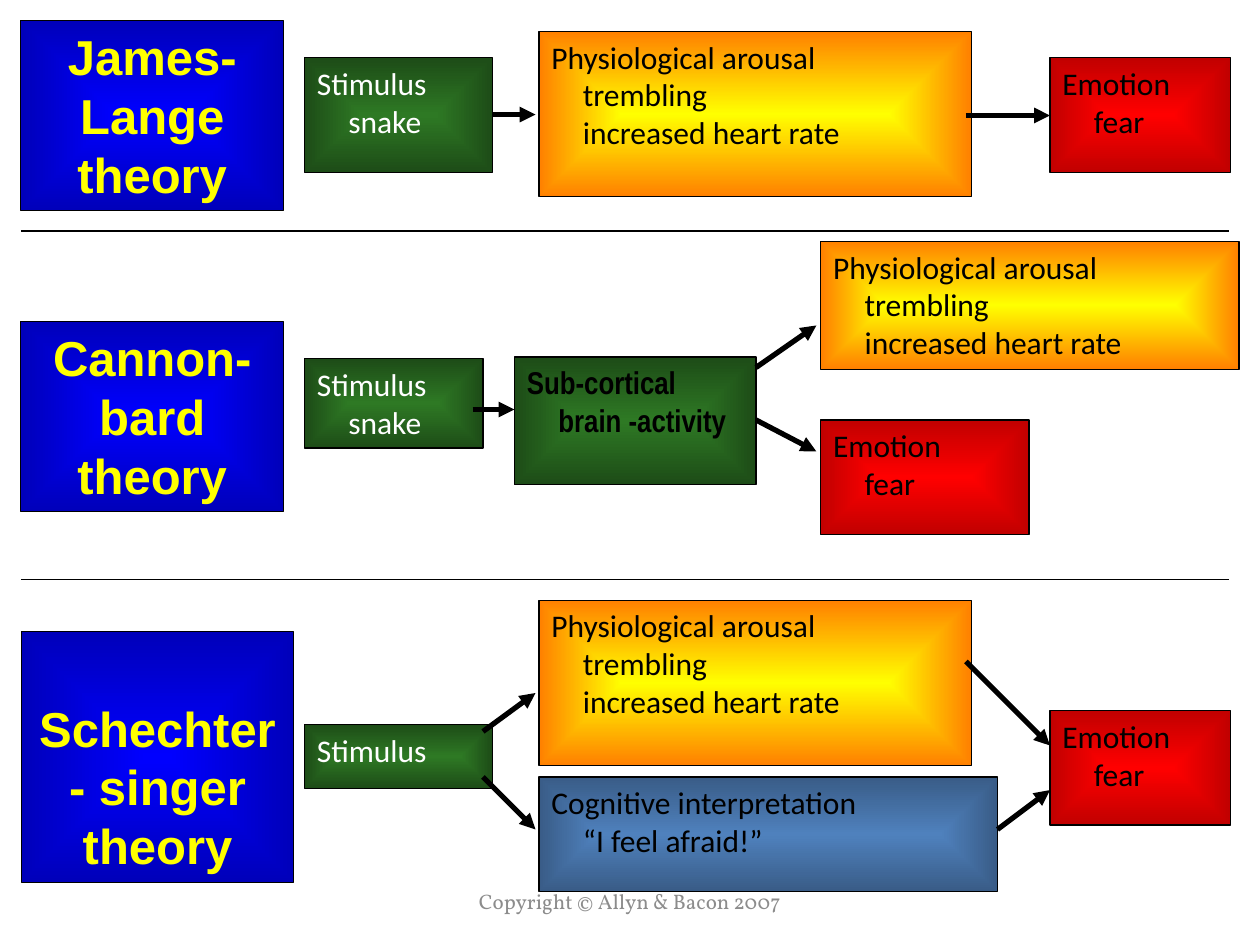
"""Build a slide that compares three theories of emotion as flow diagrams."""
from lxml import etree
from pptx import Presentation
from pptx.dml.color import RGBColor
from pptx.enum.shapes import MSO_CONNECTOR, MSO_SHAPE
from pptx.enum.text import MSO_ANCHOR, PP_ALIGN
from pptx.oxml.ns import qn
from pptx.util import Pt

RECT, STRAIGHT = MSO_SHAPE.RECTANGLE, MSO_CONNECTOR.STRAIGHT
TOP, MIDDLE = MSO_ANCHOR.TOP, MSO_ANCHOR.MIDDLE
LEFT, CENTER = PP_ALIGN.LEFT, PP_ALIGN.CENTER

AROUSAL = "Physiological arousal\ntrembling\nincreased heart rate"
EMOTION = "Emotion\nfear"
STIMULUS = "Stimulus\nsnake"

STYLES = {
    "title": ("0000FF", "0000BA", "FFFF00", "Arial", 28, True),
    "stimulus": ("2E7924", "1D4C17", "FFFFFF", "Calibri", 18, False),
    "brain": ("2E7924", "1D4C17", "000000", "Arial Narrow", 18, True),
    "arousal": ("FFFF00", "FF8000", "000000", "Calibri", 18, False),
    "thought": ("4F81BD", "395C87", "000000", "Calibri", 18, False),
    "emotion": ("FF0000", "C10000", "000000", "Calibri", 18, False),
}

BOXES = [
    ("title", "James-Lange theory", 12, 11.5, 150, 108.75),
    ("stimulus", STIMULUS, 174, 33, 107.5, 65.5),
    ("arousal", AROUSAL, 308, 18, 247, 94.5),
    ("emotion", EMOTION, 600, 33, 103, 65.5),
    ("title", "Cannon-bard theory", 12, 183.5, 150, 108.75),
    ("stimulus", STIMULUS, 174, 205, 102, 51),
    ("brain", "Sub-cortical brain -activity", 294, 204, 138, 73),
    ("arousal", AROUSAL, 469, 138, 239, 73),
    ("emotion", EMOTION, 469, 240, 119, 65.5),
    ("title", " Schechter- singer theory", 12, 361, 156, 143),
    ("stimulus", "Stimulus", 174, 414, 107.5, 36.5),
    ("arousal", AROUSAL, 308, 343, 247, 94.5),
    ("thought", "Cognitive interpretation\n“I feel afraid!”", 308, 444, 262, 65.5),
    ("emotion", EMOTION, 600, 406, 103, 65.5),
]

ARROWS = [
    (282, 65.5, 306, 65.5), (552, 66, 600, 66),
    (270, 234, 294, 234), (432, 210, 466.5, 186), (432, 240, 466.5, 258),
    (276, 418, 306, 396), (276, 444, 306, 474),
    (552, 378, 600, 426), (570, 474, 600, 451.5),
]

DIVIDERS = [(12, y, 702, y) for y in (132, 331)]


def rgb(value):
    return RGBColor.from_string(value)


def set_font(p, name, size, color, bold=False):
    p.font.name, p.font.size, p.font.bold = name, Pt(size), bold
    p.font.color.rgb = rgb(color)


def fill_from_center(sp, inner, outer):
    sp.fill.gradient()
    for stop, color, position in zip(sp.fill.gradient_stops, (inner, outer), (0, 1)):
        stop.color.rgb, stop.position = rgb(color), position
    grad = sp._element.spPr.find(qn("a:gradFill"))
    grad.remove(grad.find(qn("a:lin")))
    shade = etree.SubElement(grad, qn("a:path"), {"path": "shape"})
    etree.SubElement(shade, qn("a:fillToRect"), {side: "50000" for side in "ltrb"})


def add_box(s, style, text, *place):
    inner, outer, color, font, size, bold = STYLES[style]
    title = style == "title"
    sp = s.shapes.add_shape(RECT, *map(Pt, place))
    sp.shadow.inherit = False
    fill_from_center(sp, inner, outer)
    sp.line.color.rgb, sp.line.width = rgb("000000"), Pt(0.5 if title else 0.75)
    tf = sp.text_frame
    tf.word_wrap, tf.vertical_anchor = True, MIDDLE if title else TOP
    p = tf.paragraphs[0]
    p.text, p.alignment = text, CENTER if title else LEFT
    if not title:
        pPr = p._p.get_or_add_pPr()
        pPr.set("marL", str(Pt(18)))
        pPr.set("indent", str(Pt(-18)))
    set_font(p, font, size, color, bold)


def add_line(s, ends, width, arrow=False):
    line = s.shapes.add_connector(STRAIGHT, *map(Pt, ends))
    line.line.color.rgb, line.line.width = rgb("000000"), Pt(width)
    if arrow:
        etree.SubElement(line.line._get_or_add_ln(), qn("a:tailEnd"), {"type": "triangle"})
    etree.SubElement(line._element.spPr, qn("a:effectLst"))


def add_footer(s):
    tf = s.shapes.add_textbox(Pt(246), Pt(500.5), Pt(228), Pt(28.5)).text_frame
    tf.word_wrap, tf.vertical_anchor = True, MIDDLE
    p = tf.paragraphs[0]
    p.text, p.alignment = "Copyright © Allyn & Bacon 2007", CENTER
    set_font(p, "Vollkorn", 12, "8C8C8C")


def main():
    prs = Presentation()
    prs.slide_width, prs.slide_height = Pt(720), Pt(540)
    s = prs.slides.add_slide(prs.slide_layouts[6])
    add_footer(s)
    for box in BOXES:
        add_box(s, *box)
    for ends in DIVIDERS:
        add_line(s, ends, 0.75)
    for ends in ARROWS:
        add_line(s, ends, 3, arrow=True)
    prs.save("out.pptx")


if __name__ == "__main__":
    main()
